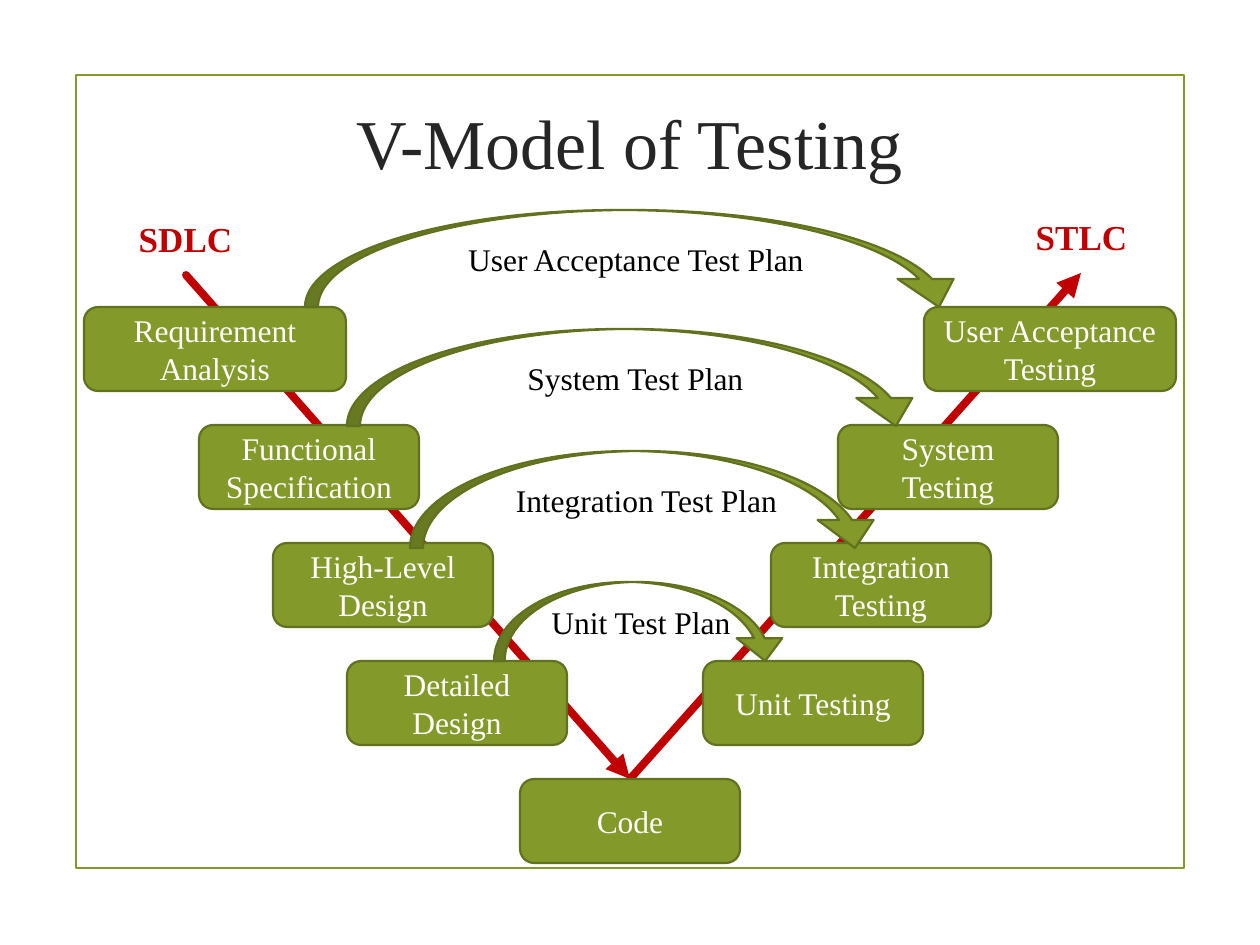
from lxml.etree import SubElement
from pptx import Presentation
from pptx.dml.color import RGBColor
from pptx.enum.shapes import MSO_CONNECTOR as Connector, MSO_SHAPE as Preset
from pptx.enum.text import MSO_ANCHOR as Anchor, PP_ALIGN as Align
from pptx.oxml.ns import qn
from pptx.util import Emu, Pt

SCALE = 914400 / 126
COLORS = {
    "green": "83992A", "outline": "61711F", "red": "C00000",
    "title": "262626", "black": "000000", "white": "FFFFFF",
}
BOX_TOP, BOX_PITCH, BOX_HEIGHT = 307, 118, 84
PHASES = [
    ("Requirement Analysis", 84, 262), ("Functional Specification", 199, 220),
    ("High-Level Design", 273, 220), ("Detailed Design", 347, 220),
    ("Code", 520, 220),
]
TEST_LEVELS = [
    ("User Acceptance Testing", 924, 252), ("System Testing", 838, 220),
    ("Integration Testing", 771, 220), ("Unit Testing", 703, 220),
]
TEST_PLANS = [
    ("User Acceptance Test Plan", (305, 210, 662, 97)),
    ("System Test Plan", (347, 329, 577, 97)),
    ("Integration Test Plan", (410, 451, 473, 97)),
    ("Unit Test Plan", (494, 582, 294, 79)),
]


def px(*lengths):
    """Turn whole pixels into EMU."""
    return [Emu(round(length * SCALE)) for length in lengths]


def rgb(color):
    """Look up a named colour."""
    return RGBColor.from_string(COLORS[color])


def apply(target, formats):
    """Set every attribute in formats on target."""
    for attribute, value in formats.items():
        setattr(target, attribute, value)


def write(holder, text, size, color, bold=False):
    """Put centred text in a shape."""
    frame = holder.text_frame
    apply(frame, {"word_wrap": True, "vertical_anchor": Anchor.MIDDLE})
    paragraph = frame.paragraphs[0]
    paragraph.alignment = Align.CENTER
    run = paragraph.add_run()
    run.text = text
    apply(run.font, {"name": "Times New Roman", "size": Pt(size), "bold": bold})
    run.font.color.rgb = rgb(color)


def add_title(slide, text):
    """Place and fill the title placeholder."""
    title = slide.shapes.title
    apply(title, dict(zip(("left", "top", "width", "height"), px(73, 73, 1113, 136))))
    write(title, text, 40, "title")


def add_preset(slide, preset, bounds, fill, outline):
    """Draw a flat preset shape with a thin outline."""
    shape = slide.shapes.add_shape(preset, *px(*bounds))
    shape.shadow.inherit = False
    if fill:
        shape.fill.solid()
        shape.fill.fore_color.rgb = rgb(fill)
    else:
        shape.fill.background()
    shape.line.color.rgb = rgb(outline)
    shape.line.width = Pt(1.25)
    return shape


def add_leg(slide, start, end):
    """Draw one leg of the V as a thick red arrow."""
    leg = slide.shapes.add_connector(Connector.STRAIGHT, *px(*start, *end))
    leg.line.color.rgb = rgb("red")
    leg.line.width = Pt(4.5)
    outline = leg.line._get_or_add_ln()
    outline.set("cap", "rnd")
    SubElement(outline, qn("a:tailEnd"), type="triangle")
    SubElement(leg._element.spPr, qn("a:effectLst"))


def add_stages(slide, stages):
    """Stack boxes down one side of the V."""
    for row, (text, left, width) in enumerate(stages):
        bounds = (left, BOX_TOP + row * BOX_PITCH, width, BOX_HEIGHT)
        box = add_preset(slide, Preset.ROUNDED_RECTANGLE, bounds, "green", "outline")
        write(box, text, 18, "white")


def add_plan(slide, text, bounds):
    """Draw a curved arrow from a phase to its test level."""
    arrow = add_preset(slide, Preset.CURVED_DOWN_ARROW, bounds, "green", "outline")
    for index, ratio in enumerate((0.135, 0.578, 0.289)):
        arrow.adjustments[index] = ratio
    write(arrow, text, 18, "black")


def add_heading(slide, text, left, top):
    """Label the top of one leg."""
    heading = slide.shapes.add_textbox(*px(left, top, 147, 73))
    write(heading, text, 20, "red", bold=True)


def main():
    """Build the V-model slide."""
    deck = Presentation()
    deck.slide_width, deck.slide_height = px(1260, 945)
    slide = deck.slides.add_slide(deck.slide_layouts[5])
    add_preset(slide, Preset.RECTANGLE, (76, 75, 1108, 793), None, "green")
    code_top = (630, 779)
    add_leg(slide, (186, 275), code_top)
    add_leg(slide, code_top, (1081, 273))
    add_title(slide, "V-Model of Testing")
    for stages in (PHASES, TEST_LEVELS):
        add_stages(slide, stages)
    for text, bounds in TEST_PLANS:
        add_plan(slide, text, bounds)
    add_heading(slide, "SDLC", 112, 202)
    add_heading(slide, "STLC", 1008, 200)
    deck.save("out.pptx")


if __name__ == "__main__":
    main()
